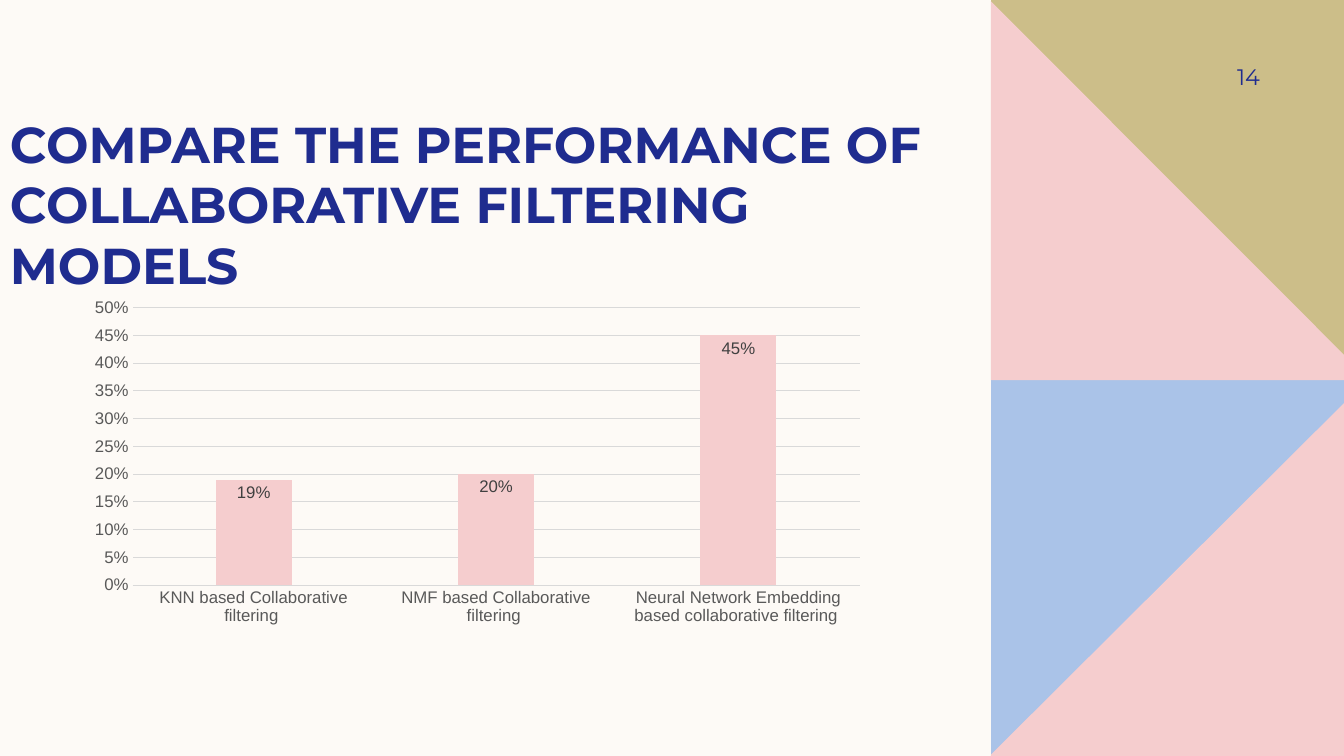
from dataclasses import dataclass

from lxml.etree import SubElement
from pptx import Presentation
from pptx.chart.axis import CategoryAxis, ValueAxis
from pptx.chart.data import CategoryChartData
from pptx.dml.color import RGBColor
from pptx.enum.chart import XL_CHART_TYPE, XL_LABEL_POSITION, XL_TICK_MARK
from pptx.enum.text import MSO_ANCHOR, MSO_AUTO_SIZE, PP_ALIGN
from pptx.oxml.ns import qn
from pptx.slide import Slide
from pptx.text.text import Font, TextFrame
from pptx.util import Cm, Pt

COLORS = {
    "cream": "FDFAF6", "blue": "AAC3E8", "pink": "F5CDCE", "olive": "CCBE89",
    "navy": "1F2C8F", "grid": "D9D9D9", "axis": "595959", "label": "404040",
    "black": "000000",
}
WIDTH, HEIGHT = 33.87, 19.05
BAND_LEFT = 24.97


@dataclass
class Panel:
    color: str
    points: list[tuple[float, float]]


# Side band, from back to front, in centimetres
PANELS = [
    Panel("blue", [(BAND_LEFT, 9.53), (WIDTH, 9.53), (WIDTH, HEIGHT), (BAND_LEFT, HEIGHT)]),
    Panel("pink", [(WIDTH, 10.16), (WIDTH, HEIGHT), (BAND_LEFT, HEIGHT), (BAND_LEFT, 19.02)]),
    Panel("olive", [(BAND_LEFT, 0), (WIDTH, 0), (WIDTH, 9.55), (BAND_LEFT, 9.55)]),
    Panel("pink", [(BAND_LEFT, 0.03), (WIDTH, 8.94), (WIDTH, 9.58), (BAND_LEFT, 9.58)]),
]

# Model name and score
SCORES = {
    "KNN based Collaborative filtering ": 0.19,
    "NMF based Collaborative filtering ": 0.20,
    "Neural Network Embedding based collaborative filtering ": 0.45,
}
PLOT_LAYOUT = {"x": 0.07, "y": 0.03, "w": 0.91, "h": 0.63}


def rgb(name: str) -> RGBColor:
    return RGBColor.from_string(COLORS[name])


def set_font(font: Font, name: str, size: float, color: str, bold: bool = False) -> None:
    font.name, font.size, font.bold = name, Pt(size), bold
    font.color.rgb = rgb(color)


def draw_panel(s: Slide, panel: Panel) -> None:
    first, *rest = [(Cm(x), Cm(y)) for x, y in panel.points]
    builder = s.shapes.build_freeform(*first)
    builder.add_line_segments(rest, close=True)
    sp = builder.convert_to_shape()
    sp.shadow.inherit = False
    sp.fill.solid()
    sp.fill.fore_color.rgb = rgb(panel.color)
    sp.line.fill.background()


def write_text(tf: TextFrame, text: str, size: float, bold: bool, align: PP_ALIGN,
               anchor: MSO_ANCHOR, margins: tuple[float, float, float, float]) -> None:
    tf.word_wrap, tf.auto_size = True, MSO_AUTO_SIZE.NONE
    tf.vertical_anchor = anchor
    tf.margin_left, tf.margin_top, tf.margin_right, tf.margin_bottom = map(Cm, margins)
    p = tf.paragraphs[0]
    p.alignment = align
    r = p.add_run()
    r.text = text
    set_font(r.font, "Montserrat", size, "navy", bold)


def format_axis(axis: CategoryAxis | ValueAxis) -> None:
    axis.major_tick_mark = axis.minor_tick_mark = XL_TICK_MARK.NONE
    set_font(axis.tick_labels.font, "Arial", 12, "axis")


def add_score_chart(s: Slide) -> None:
    data = CategoryChartData(number_format="0%")
    data.categories = list(SCORES)
    data.add_series("Series 1", list(SCORES.values()))
    chart = s.shapes.add_chart(XL_CHART_TYPE.COLUMN_CLUSTERED, Cm(1.93), Cm(7.42),
                               Cm(20.14), Cm(11.1), data).chart
    chart.has_legend = chart.has_title = False
    set_font(chart.font, "Arial", 10, "black")

    # Axes and gridlines
    cat_axis, val_axis = chart.category_axis, chart.value_axis
    format_axis(cat_axis)
    format_axis(val_axis)
    val_axis.minimum_scale, val_axis.maximum_scale, val_axis.major_unit = 0, 0.5, 0.05
    val_axis.tick_labels.number_format = "0%"
    val_axis.tick_labels.number_format_is_linked = False
    val_axis.format.line.fill.background()
    for line in (cat_axis.format.line, val_axis.major_gridlines.format.line):
        line.color.rgb = rgb("grid")
        line.width = Pt(0.75)

    # Columns and their labels
    plot = chart.plots[0]
    plot.gap_width, plot.overlap, plot.vary_by_categories = 219, -27, False
    fill = plot.series[0].format.fill
    fill.solid()
    fill.fore_color.rgb = rgb("pink")
    labels = plot.series[0].data_labels
    labels.show_value = True
    labels.position = XL_LABEL_POSITION.INSIDE_END
    labels.number_format, labels.number_format_is_linked = "0%", False
    set_font(labels.font, "Arial", 12, "label")

    # Fixed inner plot area
    area = chart._chartSpace.find(".//" + qn("c:plotArea"))
    layout = area.find(qn("c:layout"))
    if layout is None:
        layout = SubElement(area, qn("c:layout"))
        area.insert(0, layout)
    manual = SubElement(layout, qn("c:manualLayout"))
    settings = {"layoutTarget": "inner", "xMode": "edge", "yMode": "edge", **PLOT_LAYOUT}
    for tag, value in settings.items():
        SubElement(manual, qn(f"c:{tag}")).set("val", str(value))


def main() -> None:
    prs = Presentation()
    prs.slide_width, prs.slide_height = Cm(WIDTH), Cm(HEIGHT)
    s = prs.slides.add_slide(prs.slide_layouts[5])
    s.background.fill.solid()
    s.background.fill.fore_color.rgb = rgb("cream")

    # Side band
    for panel in PANELS:
        draw_panel(s, panel)

    # Title
    title = s.shapes.title
    title.left, title.top, title.width, title.height = Cm(0), Cm(2.24), Cm(23.93), Cm(5.18)
    write_text(title.text_frame, "COMPARE THE PERFORMANCE OF COLLABORATIVE FILTERING MODELS",
               36, True, PP_ALIGN.LEFT, MSO_ANCHOR.BOTTOM, (0.25, 0, 0.25, 0))

    # Slide number
    number = s.shapes.add_textbox(Cm(29), Cm(1.27), Cm(2.75), Cm(1.32))
    write_text(number.text_frame, "14", 16, False, PP_ALIGN.RIGHT, MSO_ANCHOR.MIDDLE,
               (0.25, 0.13, 0, 0.13))

    add_score_chart(s)
    prs.save("out.pptx")


if __name__ == "__main__":
    main()
